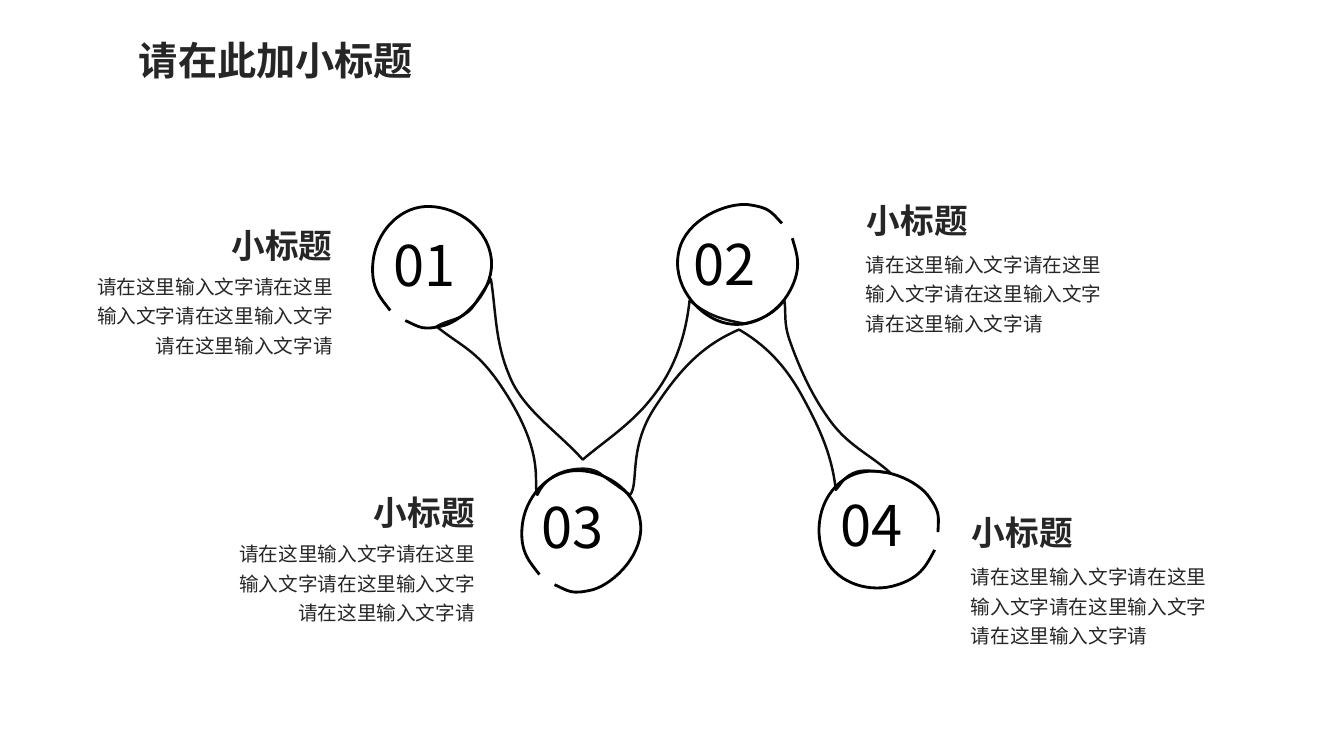
from math import cos, radians, sin

from lxml import etree
from pptx import Presentation
from pptx.dml.color import RGBColor
from pptx.enum.text import MSO_AUTO_SIZE, PP_ALIGN
from pptx.oxml.ns import qn
from pptx.util import Inches, Pt

LEFT, RIGHT, JUSTIFY = PP_ALIGN.LEFT, PP_ALIGN.RIGHT, PP_ALIGN.JUSTIFY
GROW = MSO_AUTO_SIZE.SHAPE_TO_FIT_TEXT

BLACK = RGBColor(0x00, 0x00, 0x00)
INK = RGBColor(0x0D, 0x0D, 0x0D)
GREY = RGBColor(0x26, 0x26, 0x26)

HEAD_FONT = "Noto Sans CJK JP"
BODY_FONT = "Noto Sans CJK SC"

CELL = Inches(0.01)
COLS, ROWS = 1333, 750

TITLE = "请在此加小标题"
HEADING = "小标题"
BODY = "请在这里输入文字请在这里输入文字请在这里输入文字请在这里输入文字请"

RING = [
    (-42, 43), (-51, 31), (-62, 21), (-59, -6), (-56, -33), (-35, -58),
    (-8, -60), (19, -62), (53, -43), (58, -10), (63, 22), (32, 52),
    (11, 58), (-10, 63), (-12, 60), (-27, 53),
]

RIBBON = [
    (433, 324), (458, 344), (472, 347), (495, 380),
    (543, 450), (528, 478), (533, 491), (539, 478), (550, 470), (562, 467),
    (579, 463), (591, 465), (598, 472), (598, 472), (625, 491), (625, 491),
    (634, 480), (623, 445), (649, 405), (675, 365), (698, 342), (733, 327),
    (766, 346), (783, 371), (794, 390), (811, 421), (825, 449), (829, 486),
    (835, 480), (837, 472), (850, 468), (861, 465), (872, 469), (883, 469),
    (862, 450), (840, 442), (821, 414), (801, 386), (789, 354), (783, 337),
    (777, 319), (780, 311), (778, 298), (769, 310), (757, 317), (738, 321),
    (716, 317), (702, 313), (684, 298), (678, 354), (656, 385), (637, 406),
    (617, 427), (598, 439), (578, 456), (553, 428), (518, 406), (505, 372),
    (491, 339), (492, 309), (487, 277), (487, 277), (468, 306), (468, 306),
    (457, 318), (444, 317), (433, 324),
]

# number, ring centre, ring turn, number box (x, y, width), body corner, alignment
STEPS = [
    ("01", (429, 265), 0, (380, 224, 98), (78, 262), RIGHT),
    ("02", (731, 261), -158.5, (678, 223, 107), (849, 240), LEFT),
    ("03", (577, 527), 0, (527, 484, 98), (219, 527), RIGHT),
    ("04", (871, 524), -113.3, (824, 482, 107), (953, 550), LEFT),
]
HEADING_OFFSET = {LEFT: (1, -47), RIGHT: (142, -44)}


def add_curve(slide, points, color, width, close=False):
    start, *rest = [(x * CELL, y * CELL) for x, y in points]
    builder = slide.shapes.build_freeform(*start)
    builder.add_line_segments(rest, close=close)
    sp = builder.convert_to_shape()
    segments = list(sp._element.iter(qn("a:lnTo")))
    for i in range(0, len(segments), 3):
        bezier = etree.Element(qn("a:cubicBezTo"))
        segments[i].addprevious(bezier)
        for segment in segments[i:i + 3]:
            bezier.append(segment[0])
            segment.getparent().remove(segment)
    sp.shadow.inherit = False
    sp.fill.background()
    sp.line.color.rgb = color
    sp.line.width = Pt(width)


def add_ring(slide, centre, turn):
    c, s = cos(radians(turn)), sin(radians(turn))
    cx, cy = centre
    points = [(cx + x * c - y * s, cy + x * s + y * c) for x, y in RING]
    add_curve(slide, points, BLACK, 2)


def add_text(slide, text, box, size, font, color,
             align=LEFT, bold=False, wrap=True, spacing=None):
    sp = slide.shapes.add_textbox(*(n * CELL for n in box))
    tf = sp.text_frame
    tf.word_wrap = wrap
    tf.auto_size = GROW
    p = tf.paragraphs[0]
    p.text = text
    p.alignment = align
    p.line_spacing = spacing
    p.font.size = Pt(size)
    p.font.bold = bold
    p.font.color.rgb = color
    p.font.name = font
    etree.SubElement(p.font._element, qn("a:ea"), typeface=font)


def add_heading(slide, text, box, size):
    add_text(slide, text, box, size, HEAD_FONT, GREY, bold=True, wrap=False)


def add_step(slide, number, centre, turn, number_box, corner, align):
    add_ring(slide, centre, turn)
    add_text(slide, number, (*number_box, 77), 40, BODY_FONT, BLACK, JUSTIFY)
    x, y = corner
    dx, dy = HEADING_OFFSET[align]
    add_text(slide, BODY, (x, y, 262, 98), 14, BODY_FONT, GREY, align, spacing=1.25)
    add_heading(slide, HEADING, (x + dx, y + dy, 122, 50), 24)


def main():
    prs = Presentation()
    prs.slide_width = COLS * CELL
    prs.slide_height = ROWS * CELL
    slide = prs.slides.add_slide(prs.slide_layouts[6])
    add_heading(slide, TITLE, (128, 31, 296, 57), 28)
    add_curve(slide, RIBBON, INK, 1.75, close=True)
    for step in STEPS:
        add_step(slide, *step)
    prs.save("out.pptx")


if __name__ == "__main__":
    main()
